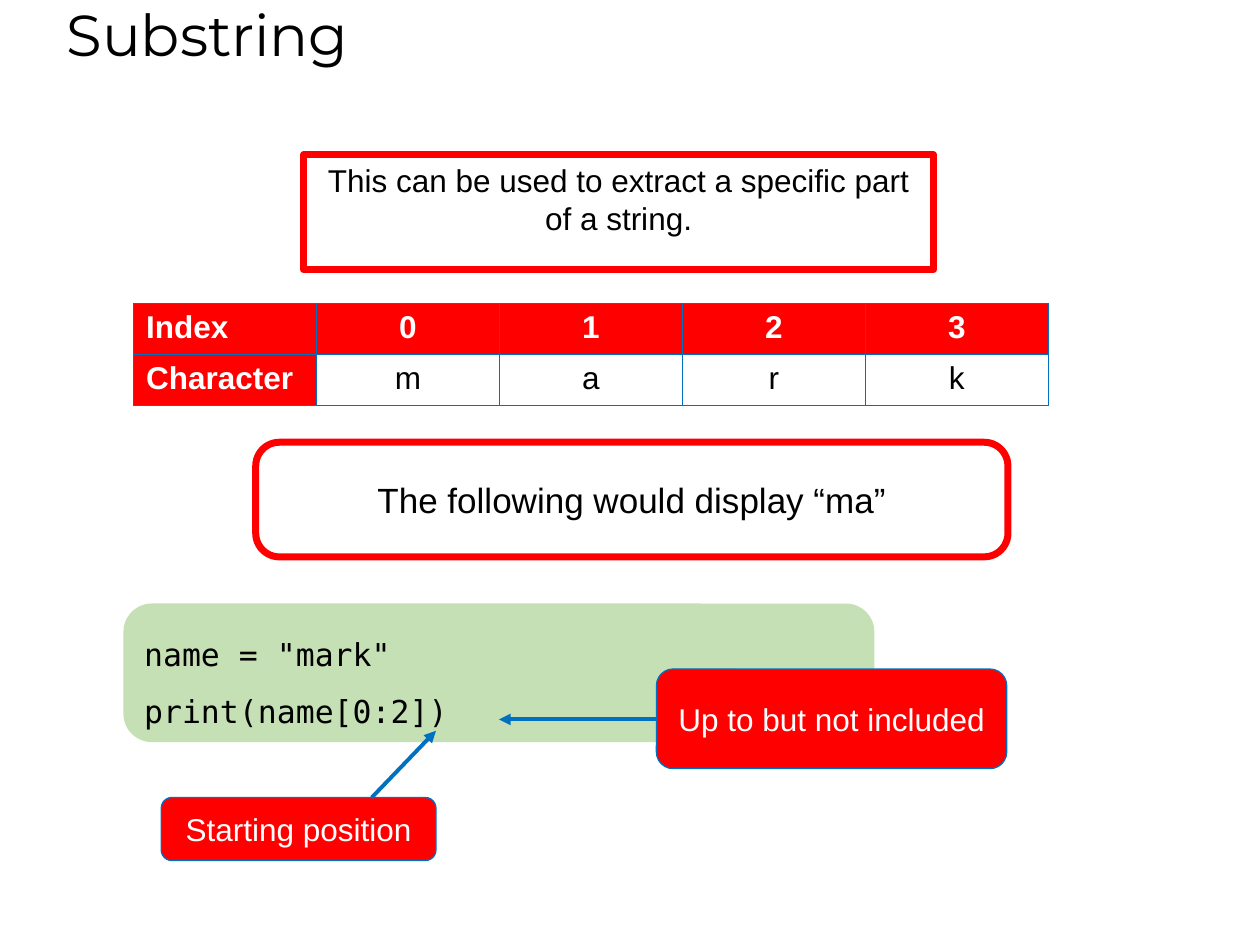
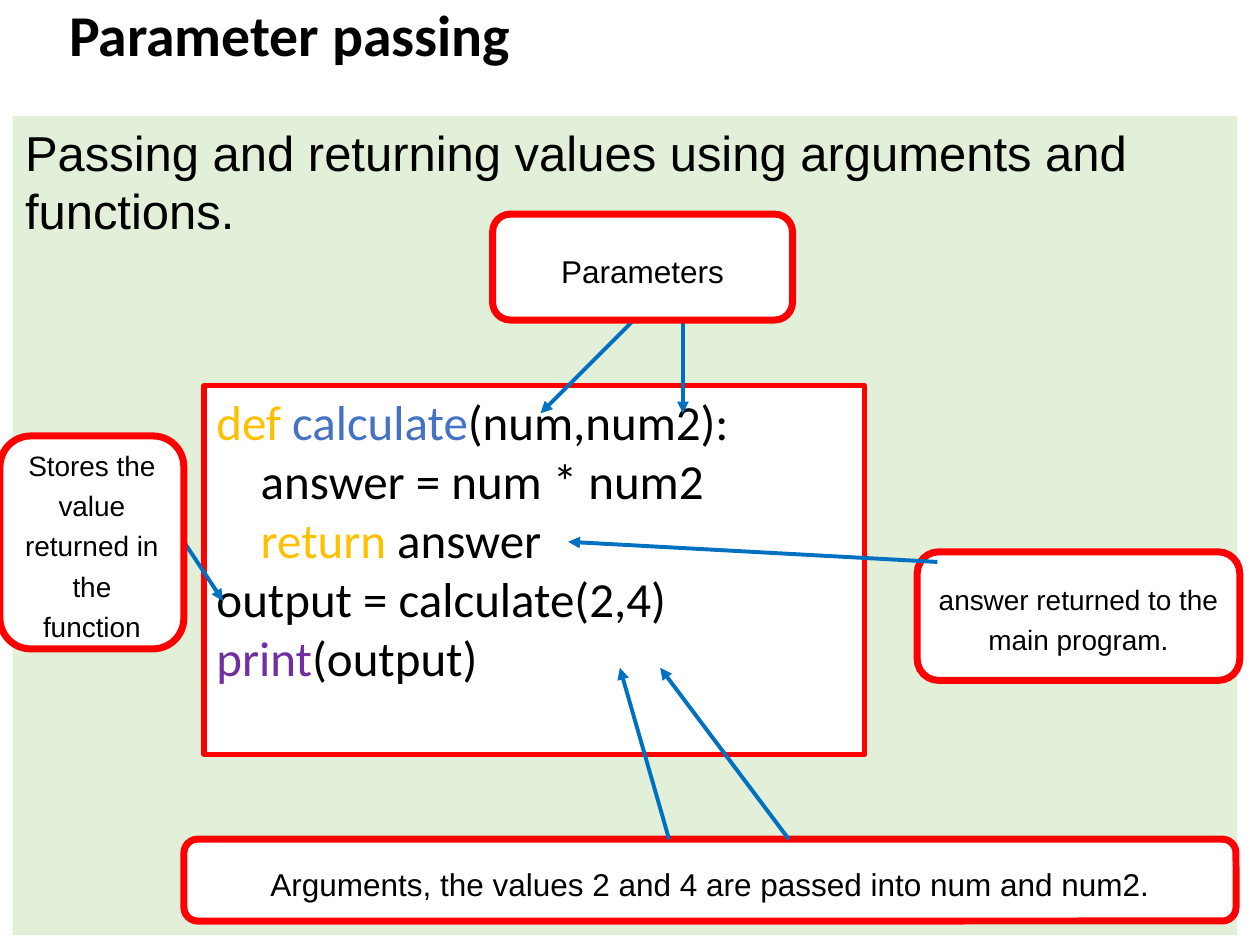
from lxml import etree
from pptx import Presentation
from pptx.dml.color import RGBColor
from pptx.enum.shapes import MSO_CONNECTOR, MSO_SHAPE
from pptx.enum.text import MSO_ANCHOR, PP_ALIGN
from pptx.oxml.ns import qn
from pptx.util import Inches, Pt

RECTANGLE, ROUNDED = MSO_SHAPE.RECTANGLE, MSO_SHAPE.ROUNDED_RECTANGLE
LEFT, CENTER = PP_ALIGN.LEFT, PP_ALIGN.CENTER
TOP, MIDDLE = MSO_ANCHOR.TOP, MSO_ANCHOR.MIDDLE
STRAIGHT = MSO_CONNECTOR.STRAIGHT

COLORS = {
    "black": "000000", "white": "FFFFFF", "red": "FF0000", "blue": "0070C0",
    "code panel": "C5E0B4", "page panel": "E2F0D9",
    "keyword": "FFC000", "function": "4472C4", "builtin": "7030A0",
}
COLUMNS, ROWS = 100, 75
SLIDE_WIDTH, SLIDE_HEIGHT = Inches(10), Inches(7.5)


def color(name):
    return RGBColor.from_string(COLORS[name])


class Deck:
    """Draws on the current slide; places are in grid columns and rows."""

    def __init__(self):
        self.presentation = Presentation()
        self.presentation.slide_width = SLIDE_WIDTH
        self.presentation.slide_height = SLIDE_HEIGHT
        self.slide = None

    def grid(self, *numbers):
        """Turn alternating column and row numbers into lengths."""
        steps = (SLIDE_WIDTH / COLUMNS, SLIDE_HEIGHT / ROWS)
        return [round(number * steps[i % 2]) for i, number in enumerate(numbers)]

    def new_slide(self, title, left, font, bold=False):
        self.slide = self.presentation.slides.add_slide(
            self.presentation.slide_layouts[6])
        box = self.slide.shapes.add_textbox(*self.grid(left, 0, 86.2, 7.5))
        self.set_text(box.text_frame, [title], 33, font, bold=bold, spacing=0.9)

    def set_text(self, frame, lines, size, font="Arial", ink="black", bold=False,
                 align=LEFT, spacing=1.0, anchor=TOP):
        """Fill a frame; a line is a string or a list of (text, colour) runs."""
        frame.word_wrap = True
        frame.vertical_anchor = anchor
        for number, line in enumerate(lines):
            paragraph = frame.add_paragraph() if number else frame.paragraphs[0]
            paragraph.alignment = align
            paragraph.line_spacing = spacing
            paragraph.font.size = Pt(size)
            paragraph.font.name = font
            paragraph.font.bold = bold
            paragraph.font.color.rgb = color(ink)
            for text, run_ink in [(line, ink)] if isinstance(line, str) else line:
                run = paragraph.add_run()
                run.text = text
                if run_ink != ink:
                    run.font.color.rgb = color(run_ink)

    def box(self, place, lines, size, kind=ROUNDED, fill="white", line="red",
            weight=4, corner=None, **text_style):
        shape = self.slide.shapes.add_shape(kind, *self.grid(*place))
        shape.shadow.inherit = False
        if corner:
            shape.adjustments[0] = corner
        shape.fill.solid()
        shape.fill.fore_color.rgb = color(fill)
        if line:
            shape.line.color.rgb = color(line)
            shape.line.width = Pt(weight)
        else:
            shape.line.fill.background()
        self.set_text(shape.text_frame, lines, size, **text_style)

    def note(self, place, text, size=18, spacing=1.2, **style):
        """White rounded box with a red outline and centred text."""
        self.box(place, [text], size, align=CENTER, anchor=MIDDLE,
                 spacing=spacing, **style)

    def label(self, place, text):
        """Red rounded box with white text."""
        self.note(place, text, spacing=1.0, fill="red", line="blue",
                  weight=0.75, ink="white")

    def arrow(self, *ends):
        connector = self.slide.shapes.add_connector(STRAIGHT, *self.grid(*ends))
        connector.line.color.rgb = color("blue")
        connector.line.width = Pt(2.25)
        properties = connector._element.spPr
        etree.SubElement(properties.get_or_add_ln(), qn("a:tailEnd"),
                         type="triangle")
        etree.SubElement(properties, qn("a:effectLst"))

    def table(self, place, rows):
        """Table whose first row and first column are headings."""
        table = self.slide.shapes.add_table(
            len(rows), len(rows[0]), *self.grid(*place)).table
        for row, texts in enumerate(rows):
            for column, text in enumerate(texts):
                cell = table.cell(row, column)
                heading = row == 0 or column == 0
                self.set_text(cell.text_frame, [text], 18, bold=heading,
                              ink="white" if heading else "black",
                              align=CENTER if column else LEFT)
                self.add_borders(cell)
                if heading:
                    cell.fill.solid()
                    cell.fill.fore_color.rgb = color("red")
                else:
                    cell.fill.background()

    def add_borders(self, cell):
        properties = cell._tc.get_or_add_tcPr()
        for side in ("a:lnL", "a:lnR", "a:lnT", "a:lnB"):
            border = etree.SubElement(properties, qn(side), w=str(Pt(1)))
            fill = etree.SubElement(border, qn("a:solidFill"))
            etree.SubElement(fill, qn("a:srgbClr"), val=COLORS["blue"])


def substring_slide(deck):
    deck.new_slide("Substring", 4.3, "Montserrat")
    deck.box((9.8, 47.9, 59.6, 11), ['name = "mark"', "print(name[0:2])"], 18,
             fill="code panel", line=None, corner=0.205,
             font="DejaVu Sans Mono", spacing=1.5, anchor=MIDDLE)
    deck.table((10.6, 24.1, 72.6, 8.1),
               [["Index", "0", "1", "2", "3"], ["Character", *"mark"]])
    deck.note((20.3, 35.1, 59.7, 9.1), "The following would display “ma”",
              size=20, spacing=1.0, corner=0.206)
    deck.label((12.8, 63.3, 21.8, 5), "Starting position")
    deck.arrow(29.5, 63.3, 34.6, 58)
    deck.label((52.1, 53.1, 27.8, 7.9), "Up to but not included")
    deck.arrow(52.1, 57.1, 39.6, 57.1)
    deck.box((24.1, 12.3, 50, 9.1),
             ["This can be used to extract a specific part of a string."], 18,
             kind=RECTANGLE, align=CENTER)


def parameter_slide(deck):
    deck.new_slide("Parameter passing", 4.5, "Calibri", bold=True)
    deck.box((1, 9.2, 97.2, 65),
             ["Passing and returning values using arguments and functions."], 28,
             kind=RECTANGLE, fill="page panel", line=None)
    code = [
        [("def ", "keyword"), ("calculate", "function"), ("(num,num2):", "black")],
        "    answer = num * num2",
        [("    return ", "keyword"), ("answer", "black")],
        "output = calculate(2,4)",
        [("print", "builtin"), ("(output)", "black")],
    ]
    deck.box((16.2, 30.6, 52.4, 29.3), code, 28, kind=RECTANGLE, weight=3,
             font="Calibri")
    deck.arrow(50.2, 25.5, 42.9, 32.8)
    deck.arrow(54.2, 24.9, 54.2, 32.8)
    deck.note((39.1, 17, 23.8, 8.4), "Parameters")
    deck.note((14.6, 66.6, 83.5, 6.5),
              "Arguments, the values 2 and 4 are passed into num and num2.")
    deck.arrow(62.6, 66.6, 52.4, 53)
    deck.arrow(53.1, 66.6, 49.2, 53)
    deck.note((72.8, 43.8, 25.6, 10.2), "answer returned to the main program.",
              size=16)
    deck.arrow(74.4, 44.6, 45.1, 43)
    deck.arrow(14.6, 43, 17.7, 47.7)
    deck.note((0, 34.6, 14.6, 16.9), "Stores the value returned in the function",
              size=16)


def main():
    deck = Deck()
    substring_slide(deck)
    parameter_slide(deck)
    deck.presentation.save("out.pptx")


if __name__ == "__main__":
    main()
